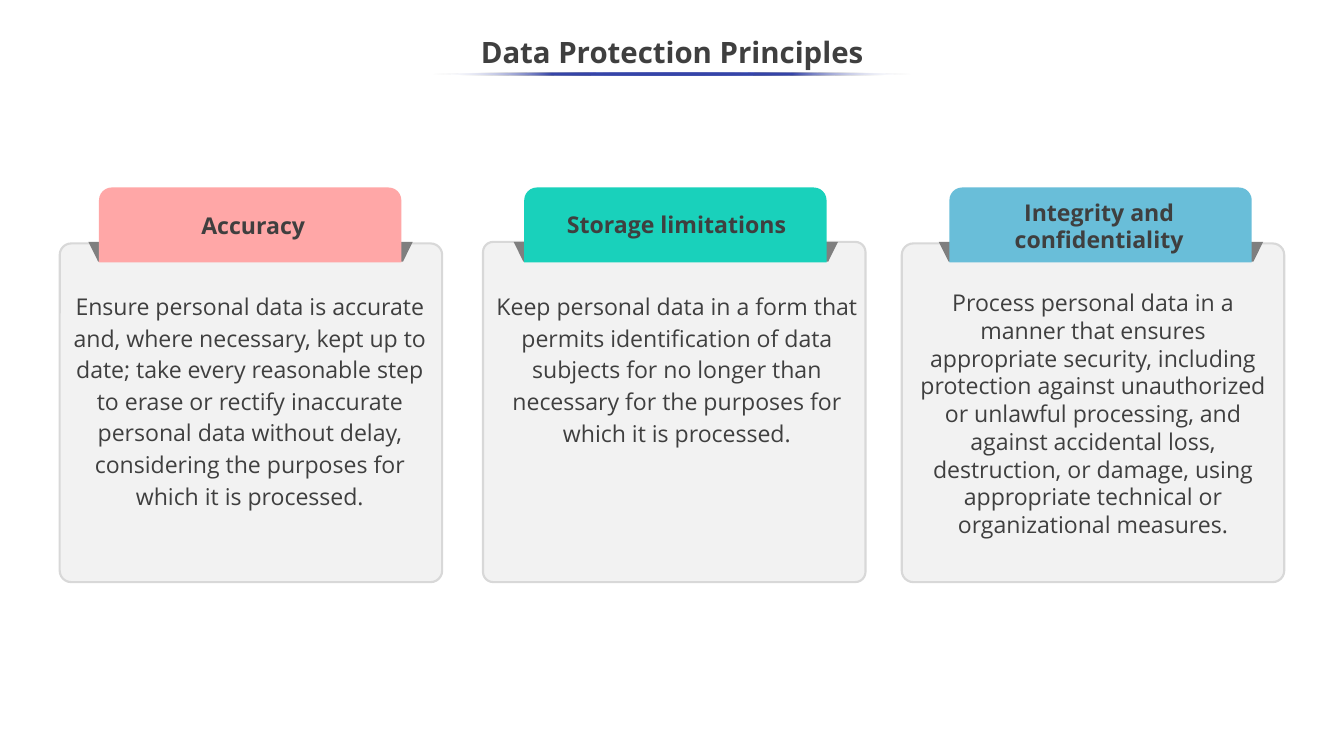
"""Build the slide on three data protection principles."""
import lxml.etree
import pptx
import pptx.dml.color
import pptx.enum.shapes
import pptx.enum.text
import pptx.oxml.ns
import pptx.util

Inches = pptx.util.Inches
Pt = pptx.util.Pt
RGBColor = pptx.dml.color.RGBColor
Kind = pptx.enum.shapes.MSO_SHAPE
Anchor = pptx.enum.text.MSO_ANCHOR
qn = pptx.oxml.ns.qn

INK = RGBColor(0x3F, 0x3F, 0x3F)
PAPER = RGBColor(0xF2, 0xF2, 0xF2)
EDGE = RGBColor(0xD8, 0xD8, 0xD8)
FOLD = RGBColor(0x7F, 0x7F, 0x7F)
PINK = RGBColor(0xFF, 0xA7, 0xA7)
TEAL = RGBColor(0x19, 0xD1, 0xBB)
SKY = RGBColor(0x69, 0xBE, 0xD9)
WHITE = RGBColor(0xFF, 0xFF, 0xFF)
BLUE = RGBColor(0x36, 0x45, 0xA9)

WIDTH, HEIGHT = 17.78, 10
STEP = 5.625
BASE = 7.7

CARDS = [
    dict(
        tint=PINK, left=0.79, top=3.22, curve=0.034,
        head=["Accuracy"], label=(1.35, 2.75, 4, 0.47),
        body="Ensure personal data is accurate and, where necessary, kept up to date; "
             "take every reasonable step to erase or rectify inaccurate personal data "
             "without delay, considering the purposes for which it is processed.",
        block=(0.83, 3.77, 4.95, 3.06), lead=1.14),
    dict(
        tint=TEAL, left=6.39, top=3.2, curve=0.03,
        head=["Storage limitations"], label=(6.97, 2.73, 3.96, 0.47),
        body="Keep personal data in a form that permits identification of data subjects "
             "for no longer than necessary for the purposes for which it is processed.",
        block=(6.41, 3.77, 5.09, 2.21), lead=1.14),
    dict(
        tint=SKY, left=11.93, top=3.22, curve=0.034,
        head=["Integrity and", "confidentiality"], label=(12.72, 2.57, 3.64, 0.84),
        body="Process personal data in a manner that ensures appropriate security, "
             "including protection against unauthorized or unlawful processing, and "
             "against accidental loss, destruction, or damage, using appropriate "
             "technical or organizational measures.",
        block=(12.03, 3.77, 4.86, 3.43), lead=1.0),
]


class Painter:
    """Hold the text style and the current slide."""

    font = "Open Sans"
    ink = INK

    def __init__(self, slide):
        self.slide = slide

    def shape(self, kind, box, fill=None, line=None, curves=(), turn=0):
        """Add a preset shape and return it."""
        item = self.slide.shapes.add_shape(kind, *map(Inches, box))
        item.shadow.inherit = False
        item.rotation = turn
        for spot, curve in enumerate(curves):
            item.adjustments[spot] = curve
        if fill is not None:
            item.fill.solid()
            item.fill.fore_color.rgb = fill
        if line is None:
            item.line.fill.background()
        else:
            item.line.color.rgb = line
            item.line.width = Pt(2)
        return item

    def text(self, lines, box, size=22, bold=False, lead=1.0, anchor=Anchor.TOP):
        """Add a centred text box with one paragraph for each line."""
        frame = self.slide.shapes.add_textbox(*map(Inches, box)).text_frame
        frame.word_wrap = True
        frame.vertical_anchor = anchor
        for spot, line in enumerate(lines):
            para = frame.add_paragraph() if spot else frame.paragraphs[0]
            para.alignment = pptx.enum.text.PP_ALIGN.CENTER
            para.line_spacing = lead
            run = para.add_run()
            run.text = line
            run.font.name = self.font
            run.font.size = Pt(size)
            run.font.bold = bold
            run.font.color.rgb = self.ink

    def rule(self, box, stops):
        """Add a thin ellipse filled with a gradient of (place, colour, alpha) stops."""
        item = self.shape(Kind.OVAL, box)
        item.fill.gradient()
        item.fill.gradient_angle = 180
        chain = item.fill._fill._gradFill.find(qn("a:gsLst"))
        for old in list(chain):
            chain.remove(old)
        for place, tone, alpha in stops:
            stop = lxml.etree.SubElement(chain, qn("a:gs"), pos=str(place * 1000))
            color = lxml.etree.SubElement(stop, qn("a:srgbClr"), val=str(tone))
            if alpha < 100:
                lxml.etree.SubElement(color, qn("a:alpha"), val=str(alpha * 1000))

    def card(self, spot, tint, left, top, curve, head, label, body, block, lead):
        """Add a card with its folded tab, heading and body."""
        shift = spot * STEP
        self.shape(Kind.ROUNDED_RECTANGLE, (left, top, 5.06, BASE - top),
                   PAPER, EDGE, [curve])
        self.shape(Kind.TRAPEZOID, (1.17 + shift, 3.2, 4.29, 0.26),
                   FOLD, curves=[0.494], turn=180)
        self.shape(Kind.ROUND_2_SAME_RECTANGLE, (1.31 + shift, 2.48, 4, 0.99),
                   tint, curves=[0.17, 0])
        self.text(head, label, bold=True)
        self.text([body], block, lead=lead)


def main():
    """Draw the slide and save it."""
    deck = pptx.Presentation()
    deck.slide_width = Inches(WIDTH)
    deck.slide_height = Inches(HEIGHT)
    paint = Painter(deck.slides.add_slide(deck.slide_layouts[6]))
    paint.text(["Data Protection Principles"], (0, 0.34, WIDTH, 0.75),
               size=28, bold=True, lead=0.9, anchor=Anchor.MIDDLE)
    for spot, card in enumerate(CARDS):
        paint.card(spot, **card)
    paint.rule((5.72, 0.96, 6.34, 0.04),
               [(0, WHITE, 0), (25, BLUE, 100), (50, BLUE, 100),
                (75, BLUE, 100), (100, WHITE, 0)])
    deck.save("out.pptx")


if __name__ == "__main__":
    main()
